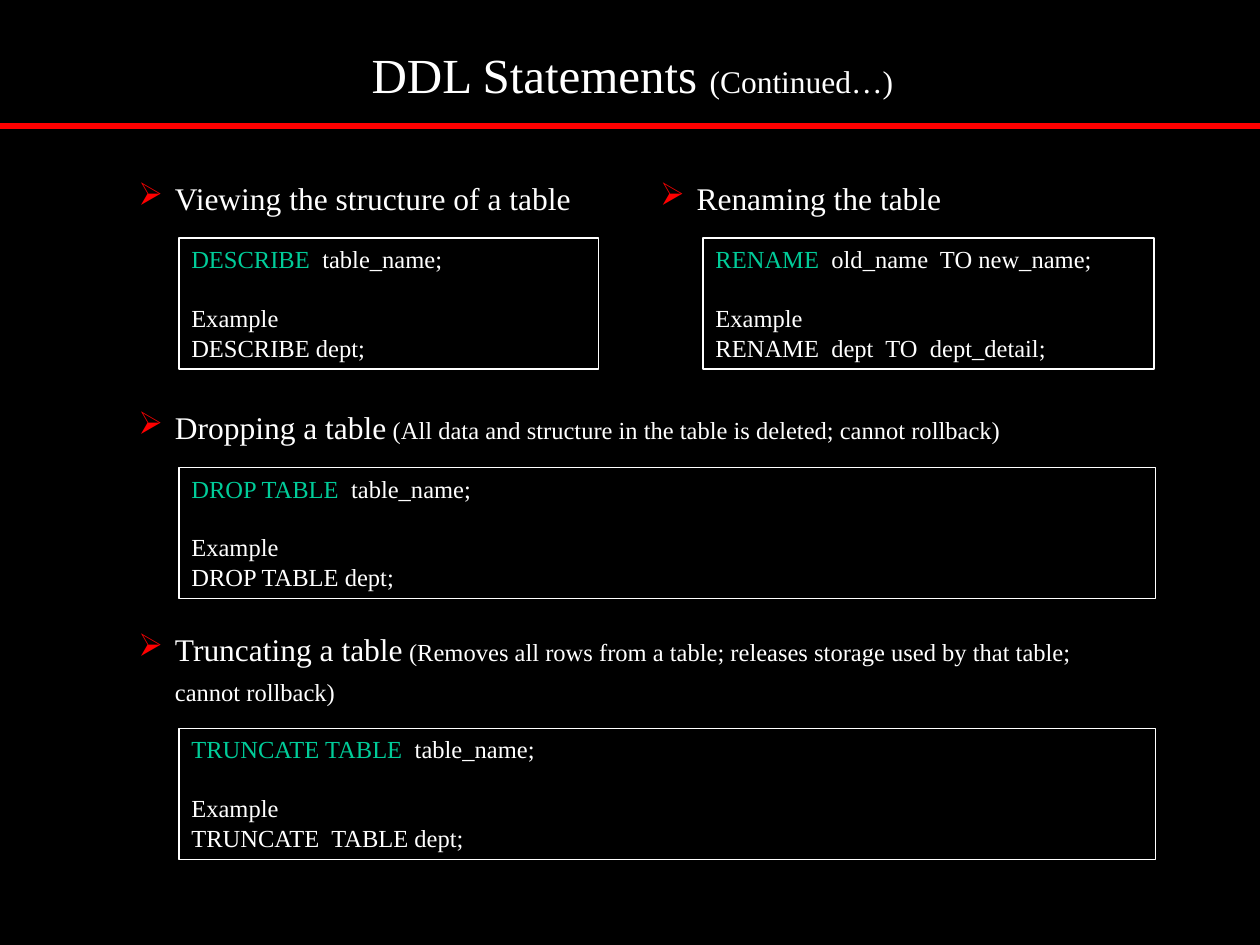
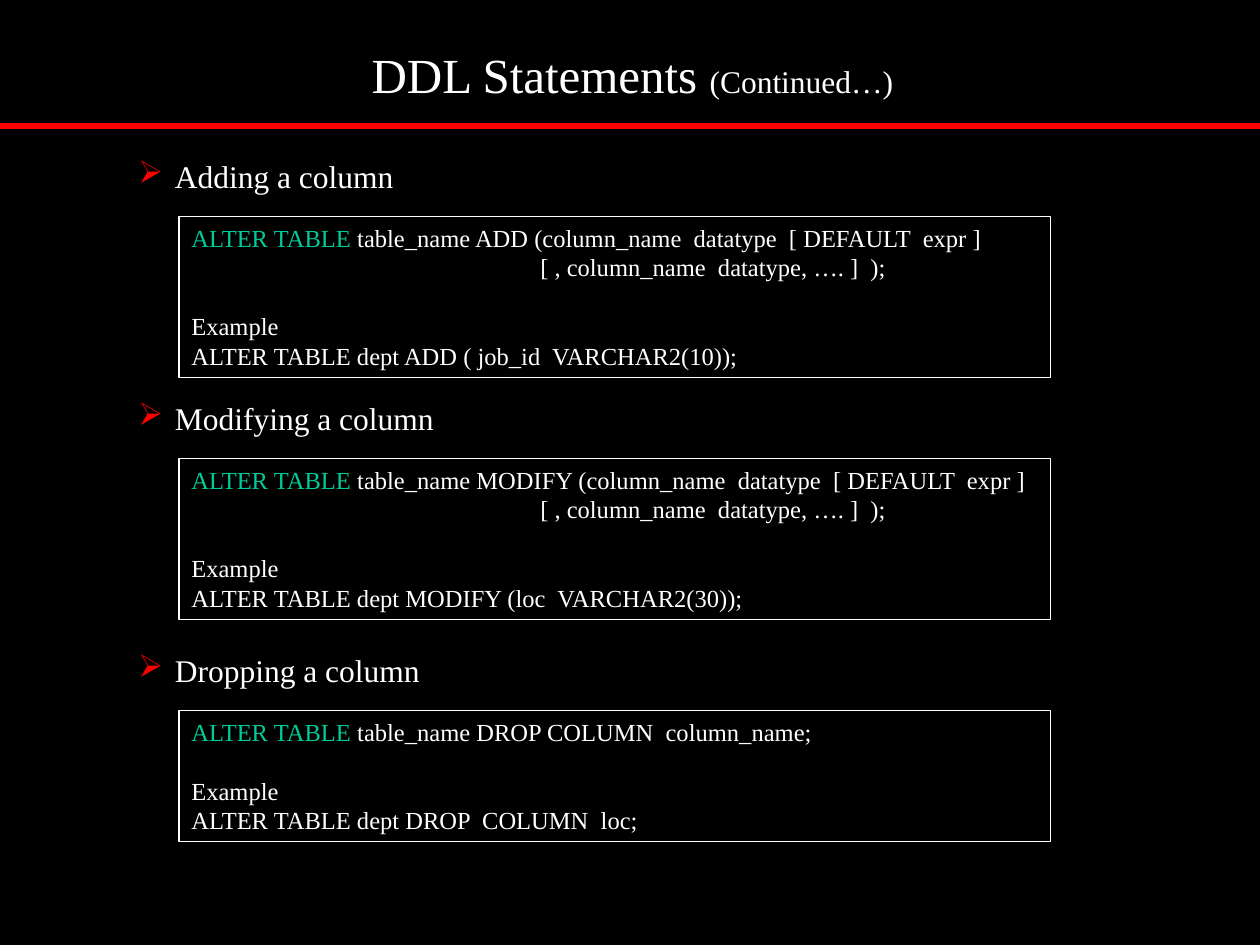
from dataclasses import dataclass

import pptx
import pptx.dml.color
import pptx.enum.shapes
import pptx.enum.text
import pptx.oxml
import pptx.oxml.ns
import pptx.util
from lxml import etree

Inches = pptx.util.Inches
Pt = pptx.util.Pt
Align = pptx.enum.text.PP_ALIGN

FONT = "Times New Roman"
BLACK, WHITE, RED, GREEN = "000000", "FFFFFF", "FF0000", "00CC99"
TITLE_SIZE, HEADING_SIZE, CODE_SIZE = 28, 18, 14
HEADING_INDENT = 0.29
CODE_LINE = 0.235
CODE_LINE_POINTS = 16.8
CONTINUATION = " " * 57 + "[ , column_name  datatype, …. ]  );"


@dataclass
class Section:
    top: float
    heading: str
    keyword: str
    syntax: list
    example: str
    note: str = ""
    note_end: str = ""
    left: float = 1
    width: float = 8
    code_left: float = 1.42
    code_width: float = 7.75


def color(value):
    return pptx.dml.color.RGBColor.from_string(value)


def add_run(paragraph, text, size, fill=WHITE):
    run = paragraph.add_run()
    run.text = text
    run.font.name = FONT
    run.font.size = Pt(size)
    run.font.color.rgb = color(fill)


def add_text_box(slide, left, top, width, height):
    box = slide.shapes.add_textbox(Inches(left), Inches(top), Inches(width), Inches(height))
    box.text_frame.word_wrap = True
    return box.text_frame


def indent_heading(paragraph, bullet):
    properties = paragraph._p.get_or_add_pPr()
    properties.set("marL", str(Inches(HEADING_INDENT)))
    properties.set("indent", str(-Inches(HEADING_INDENT) if bullet else 0))
    if bullet:
        bullet_color = etree.SubElement(properties, pptx.oxml.ns.qn("a:buClr"))
        etree.SubElement(bullet_color, pptx.oxml.ns.qn("a:srgbClr"), val=RED)
        etree.SubElement(properties, pptx.oxml.ns.qn("a:buChar"), char="➢")


def add_title(slide):
    text_frame = add_text_box(slide, 0.77, 0.25, 8.5, 0.67)
    text_frame.vertical_anchor = pptx.enum.text.MSO_ANCHOR.MIDDLE
    paragraph = text_frame.paragraphs[0]
    paragraph.alignment = Align.CENTER
    add_run(paragraph, "DDL Statements ", TITLE_SIZE)
    add_run(paragraph, "(Continued…)", HEADING_SIZE)

    rule = slide.shapes.add_connector(
        pptx.enum.shapes.MSO_CONNECTOR.STRAIGHT, 0, Inches(1), Inches(10), Inches(1))
    rule.line.color.rgb = color(RED)
    rule.line.width = Pt(3)
    etree.SubElement(rule._element.spPr, pptx.oxml.ns.qn("a:effectLst"))


def add_heading(slide, section, height):
    text_frame = add_text_box(slide, section.left, section.top, section.width, height)
    paragraph = text_frame.paragraphs[0]
    indent_heading(paragraph, bullet=True)
    add_run(paragraph, section.heading, HEADING_SIZE)
    if section.note:
        add_run(paragraph, " " + section.note, CODE_SIZE)
    if section.note_end:
        paragraph = text_frame.add_paragraph()
        indent_heading(paragraph, bullet=False)
        paragraph.space_before = Pt(3.5)
        add_run(paragraph, section.note_end, CODE_SIZE)
    for paragraph in text_frame.paragraphs:
        paragraph.alignment = Align.JUSTIFY
        paragraph.line_spacing = 1.1 if section.note_end else 1.4


def add_code_box(slide, section, top):
    line_count = len(section.syntax) + 3
    box = slide.shapes.add_shape(
        pptx.enum.shapes.MSO_SHAPE.RECTANGLE, Inches(section.code_left), Inches(top),
        Inches(section.code_width), Inches(0.1 + CODE_LINE * line_count))
    box.shadow.inherit = False
    box.fill.background()
    box.line.color.rgb = color(WHITE)
    box.line.width = Pt(0.75)

    text_frame = box.text_frame
    text_frame.word_wrap = True
    text_frame.vertical_anchor = pptx.enum.text.MSO_ANCHOR.TOP
    paragraph = text_frame.paragraphs[0]
    add_run(paragraph, section.keyword, CODE_SIZE, GREEN)
    add_run(paragraph, section.syntax[0], CODE_SIZE)
    for line in section.syntax[1:] + ["Example", section.example]:
        paragraph = text_frame.add_paragraph()
        add_run(paragraph, line, CODE_SIZE)
        if line == "Example":
            paragraph.space_before = Pt(CODE_LINE_POINTS)
    for paragraph in text_frame.paragraphs:
        paragraph.alignment = Align.LEFT


def add_section(slide, section):
    heading_height = 0.74 if section.note_end else 0.52
    add_heading(slide, section, heading_height)
    add_code_box(slide, section, section.top + heading_height + 0.12)


def add_statement_slide(presentation, sections):
    slide = presentation.slides.add_slide(presentation.slide_layouts[6])
    slide.background.fill.solid()
    slide.background.fill.fore_color.rgb = color(BLACK)
    add_title(slide)
    for section in sections:
        add_section(slide, section)


TABLE_SECTIONS = [
    Section(1.25, "Viewing the structure of a table", "DESCRIBE", ["  table_name;"],
            "DESCRIBE dept;", width=3.75, code_width=3.33),
    Section(1.25, "Renaming the table", "RENAME", ["  old_name  TO new_name;"],
            "RENAME  dept  TO  dept_detail;",
            left=5.14, width=4.03, code_left=5.58, code_width=3.58),
    Section(3.07, "Dropping a table", "DROP TABLE", ["  table_name;"], "DROP TABLE dept;",
            note="(All data and structure in the table is deleted; cannot rollback)"),
    Section(4.92, "Truncating a table", "TRUNCATE TABLE", ["  table_name;"],
            "TRUNCATE  TABLE dept;",
            note="(Removes all rows from a table; releases storage used by that table;",
            note_end="cannot rollback)"),
]

COLUMN_SECTIONS = [
    Section(top, heading, "ALTER TABLE", syntax, example, code_width=6.92)
    for top, heading, syntax, example in [
        (1.08, "Adding a column",
         [" table_name ADD (column_name  datatype  [ DEFAULT  expr ]", CONTINUATION],
         "ALTER TABLE dept ADD ( job_id  VARCHAR2(10));"),
        (3, "Modifying a column",
         [" table_name MODIFY (column_name  datatype  [ DEFAULT  expr ]", CONTINUATION],
         "ALTER TABLE dept MODIFY (loc  VARCHAR2(30));"),
        (5, "Dropping a column", [" table_name DROP COLUMN  column_name;"],
         "ALTER TABLE dept DROP  COLUMN  loc;"),
    ]
]


def main():
    presentation = pptx.Presentation()
    presentation.slide_width = Inches(10)
    presentation.slide_height = Inches(7.5)
    for sections in (TABLE_SECTIONS, COLUMN_SECTIONS):
        add_statement_slide(presentation, sections)
    presentation.save("out.pptx")


if __name__ == "__main__":
    main()
